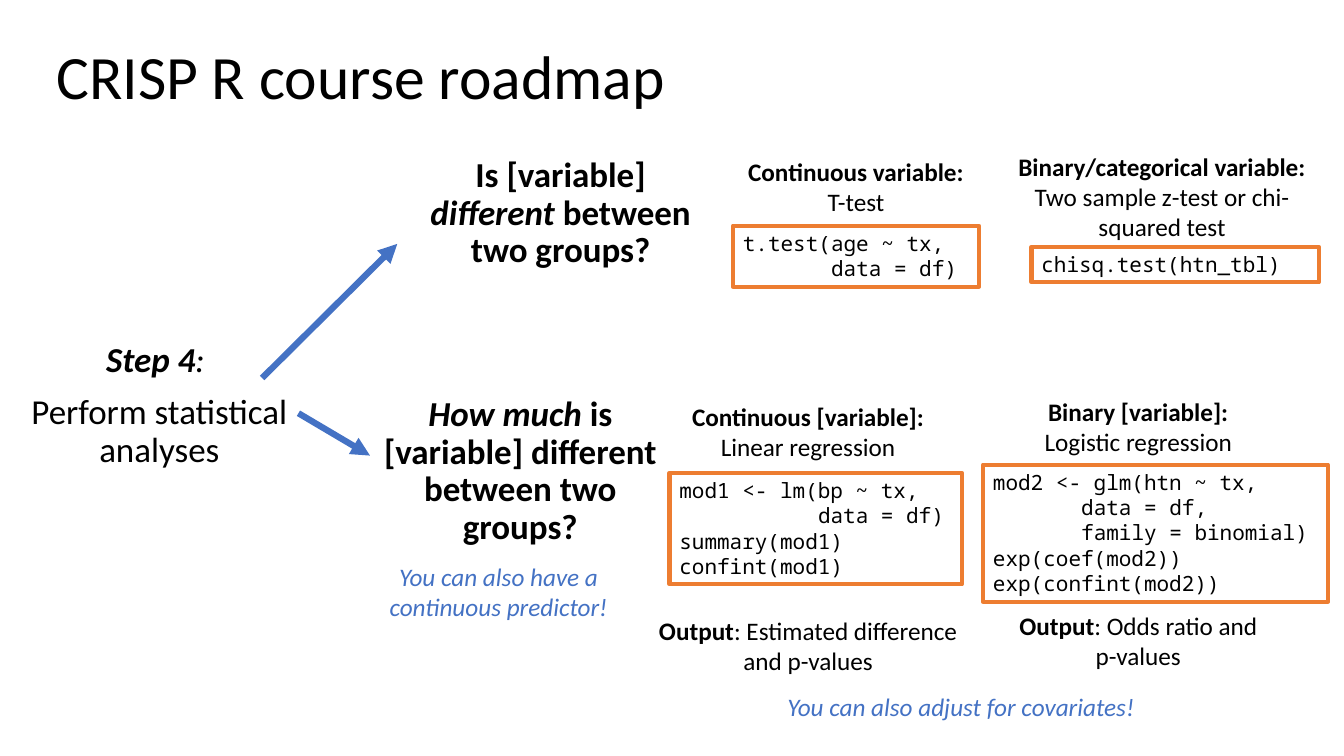
"""Build the course roadmap slide on choosing statistical analyses."""
from dataclasses import dataclass

from lxml import etree
from pptx import Presentation
from pptx.dml.color import RGBColor
from pptx.enum.shapes import MSO_CONNECTOR, MSO_SHAPE
from pptx.enum.text import MSO_ANCHOR, PP_ALIGN
from pptx.oxml.ns import qn
from pptx.slide import Slide
from pptx.text.text import TextFrame
from pptx.util import Inches, Pt

LEFT, CENTER = PP_ALIGN.LEFT, PP_ALIGN.CENTER
TOP, MIDDLE = MSO_ANCHOR.TOP, MSO_ANCHOR.MIDDLE
RECTANGLE = MSO_SHAPE.RECTANGLE
STRAIGHT = MSO_CONNECTOR.STRAIGHT


@dataclass(frozen=True)
class Theme:
    text_font: str = "Calibri"
    code_font: str = "Noto Sans Mono"
    black: RGBColor = RGBColor(0x00, 0x00, 0x00)
    white: RGBColor = RGBColor(0xFF, 0xFF, 0xFF)
    blue: RGBColor = RGBColor(0x44, 0x72, 0xC4)
    orange: RGBColor = RGBColor(0xED, 0x7D, 0x31)
    title_size: float = 44
    question_size: float = 25
    detail_size: float = 18
    code_size: float = 15
    arrow_width: float = 4.5
    border_width: float = 3
    code_character: float = 0.125
    code_line: float = 0.252
    code_padding: float = 0.1


THEME = Theme()


@dataclass(frozen=True)
class Span:
    text: str
    bold: bool = False
    italic: bool = False


@dataclass(frozen=True)
class Para:
    spans: tuple[Span, ...]
    before: float = 0
    indent: float = 0


@dataclass(frozen=True)
class TextBlock:
    left: float
    top: float
    width: float
    height: float
    paras: tuple[Para, ...]
    size: float = THEME.detail_size
    color: RGBColor = THEME.black
    font: str = THEME.text_font
    align: PP_ALIGN = CENTER
    anchor: MSO_ANCHOR = TOP
    line_spacing: float = 1.0


@dataclass(frozen=True)
class CodeBlock:
    left: float
    top: float
    width: float
    lines: tuple[str, ...]
    indents: tuple[int, ...]


@dataclass(frozen=True)
class Arrow:
    start: tuple[float, float]
    end: tuple[float, float]


def plain(text: str) -> Para:
    """Return a paragraph in regular type."""
    return Para((Span(text),))


def note(left: float, top: float, width: float, height: float, text: str,
         align: PP_ALIGN) -> TextBlock:
    """Return a blue italic remark."""
    return TextBlock(left, top, width, height, (Para((Span(text, italic=True),)),),
                     color=THEME.blue, align=align)


def question(left: float, top: float, *paras: Para) -> TextBlock:
    """Return a step or question block of the roadmap."""
    return TextBlock(left, top, 2.92, 1.16, paras, THEME.question_size, line_spacing=0.9)


def method(left: float, top: float, width: float, height: float,
           heading: str, test: str, output: str = "") -> TextBlock:
    """Return a variable type with its test and, if any, its output."""
    paras = (Para((Span(heading, bold=True),)), plain(test))
    if output:
        paras += (Para((Span("Output", bold=True), Span(f": {output}")), before=110),)
    return TextBlock(left, top, width, height, paras)


TEXT_BLOCKS = (
    TextBlock(0.46, 0.06, 11.5, 1.45, (plain("CRISP R course roadmap"),),
              THEME.title_size, align=LEFT, anchor=MIDDLE, line_spacing=0.9),
    question(0.12, 3.35,
             Para((Span("Step 4", True, True), Span(": ", italic=True)), before=10),
             Para((Span("Perform statistical analyses"),), before=10)),
    question(4.1, 1.51,
             Para((Span("Is [variable] ", True), Span("different", True, True),
                   Span(" between two groups?", True)), before=10)),
    question(3.7, 3.88,
             Para((Span("How much ", True, True),
                   Span("is [variable] different between two groups?", True)), before=10)),
    method(7.27, 1.5, 2.44, 0.71, "Continuous variable:", "T-test"),
    method(9.97, 1.45, 3.11, 1.01, "Binary/categorical variable:",
           "Two sample z-test or chi-squared test"),
    method(6.43, 3.93, 3.17, 2.83, "Continuous [variable]:", "Linear regression",
           "Estimated difference and p-values"),
    method(10, 3.88, 2.58, 2.83, "Binary [variable]:", "Logistic regression",
           "Odds ratio and p-values"),
    note(7.71, 6.81, 3.79, 0.4, "You can also adjust for covariates!", LEFT),
    note(3.65, 5.52, 2.59, 0.71, "You can also have a continuous predictor!", CENTER),
)

CODE_BLOCKS = (
    CodeBlock(7.27, 2.24, 2.44, ("t.test(age ~ tx,", "data = df)"), (0, 7)),
    CodeBlock(10.23, 2.45, 2.85, ("chisq.test(htn_tbl)",), (0,)),
    CodeBlock(6.64, 4.69, 2.9,
              ("mod1 <- lm(bp ~ tx,", "data = df)", "summary(mod1)", "confint(mod1)"),
              (0, 11, 0, 0)),
    CodeBlock(9.75, 4.61, 3.42,
              ("mod2 <- glm(htn ~ tx,", "data = df,", "family = binomial)",
               "exp(coef(mod2))", "exp(confint(mod2))"),
              (0, 7, 7, 0, 0)),
)

ARROWS = (Arrow((2.6, 3.75), (3.94, 2.42)), Arrow((2.96, 4.1), (3.67, 4.52)))


def fill_text(frame: TextFrame, block: TextBlock) -> None:
    """Write the paragraphs of a block into a text frame."""
    frame.word_wrap = True
    frame.vertical_anchor = block.anchor
    for index, para in enumerate(block.paras):
        paragraph = frame.add_paragraph() if index else frame.paragraphs[0]
        paragraph.alignment = block.align
        paragraph.line_spacing = block.line_spacing
        paragraph.space_before = Pt(para.before)
        if para.indent:
            paragraph._p.get_or_add_pPr().set("marL", str(Inches(para.indent)))
        for span in para.spans:
            run = paragraph.add_run()
            run.text = span.text
            run.font.name = block.font
            run.font.size = Pt(block.size)
            run.font.bold = span.bold
            run.font.italic = span.italic
            run.font.color.rgb = block.color


def draw_text(page: Slide, block: TextBlock) -> None:
    """Draw a plain text box."""
    box = page.shapes.add_textbox(Inches(block.left), Inches(block.top),
                                  Inches(block.width), Inches(block.height))
    fill_text(box.text_frame, block)


def draw_code(page: Slide, code: CodeBlock) -> None:
    """Draw a bordered box of code sized by its number of lines."""
    height = THEME.code_padding + THEME.code_line * len(code.lines)
    box = page.shapes.add_shape(RECTANGLE, Inches(code.left), Inches(code.top),
                                Inches(code.width), Inches(height))
    box.shadow.inherit = False
    box.fill.solid()
    box.fill.fore_color.rgb = THEME.white
    box.line.color.rgb = THEME.orange
    box.line.width = Pt(THEME.border_width)
    paras = tuple(Para((Span(line),), indent=count * THEME.code_character)
                  for line, count in zip(code.lines, code.indents))
    fill_text(box.text_frame,
              TextBlock(code.left, code.top, code.width, height, paras,
                        THEME.code_size, font=THEME.code_font, align=LEFT))


def draw_arrow(page: Slide, arrow: Arrow) -> None:
    """Draw a straight arrow with a triangular tip."""
    points = (Inches(value) for value in arrow.start + arrow.end)
    connector = page.shapes.add_connector(STRAIGHT, *points)
    connector.line.color.rgb = THEME.blue
    connector.line.width = Pt(THEME.arrow_width)
    etree.SubElement(connector.line._get_or_add_ln(), qn("a:tailEnd"), type="triangle")
    etree.SubElement(connector._element.spPr, qn("a:effectLst"))


def main() -> None:
    """Build and save the deck."""
    deck = Presentation()
    deck.slide_width, deck.slide_height = Inches(13.33), Inches(7.5)
    page = deck.slides.add_slide(deck.slide_layouts[6])
    for arrow in ARROWS:
        draw_arrow(page, arrow)
    for block in TEXT_BLOCKS:
        draw_text(page, block)
    for code in CODE_BLOCKS:
        draw_code(page, code)
    deck.save("out.pptx")


if __name__ == "__main__":
    main()
